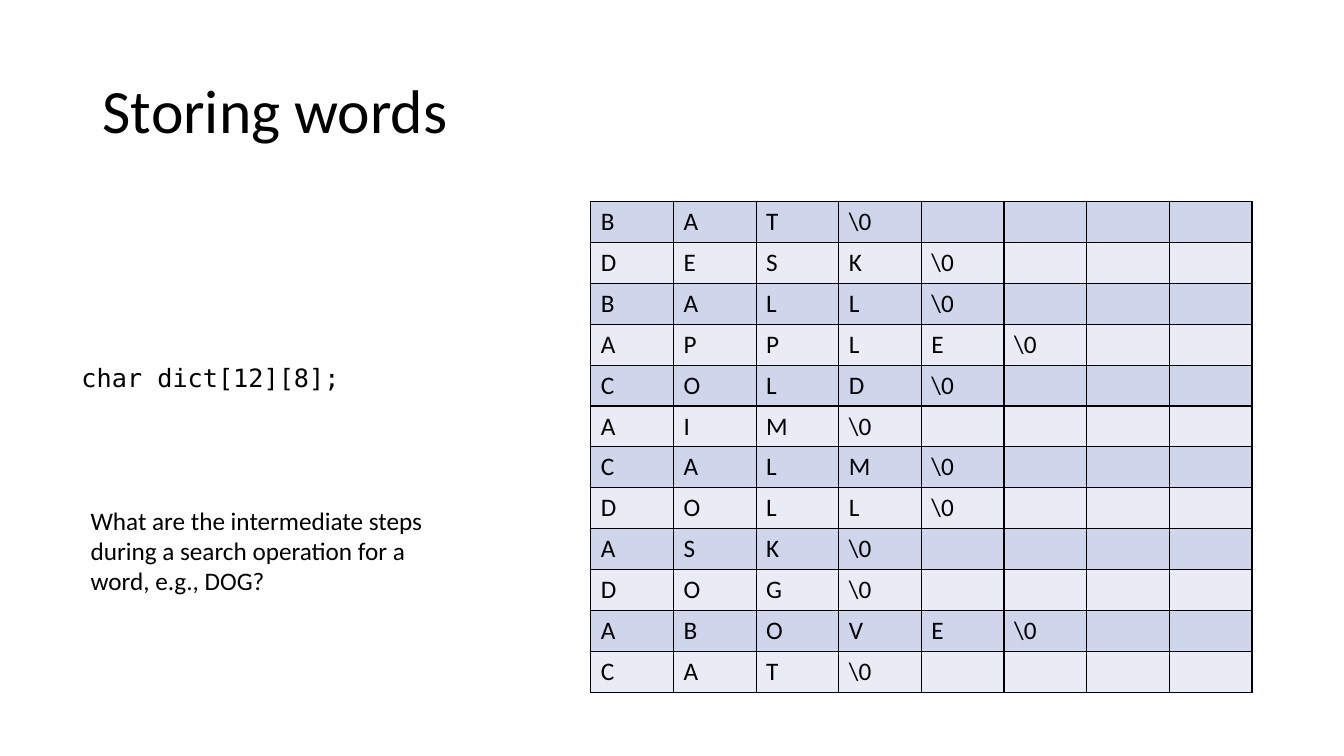
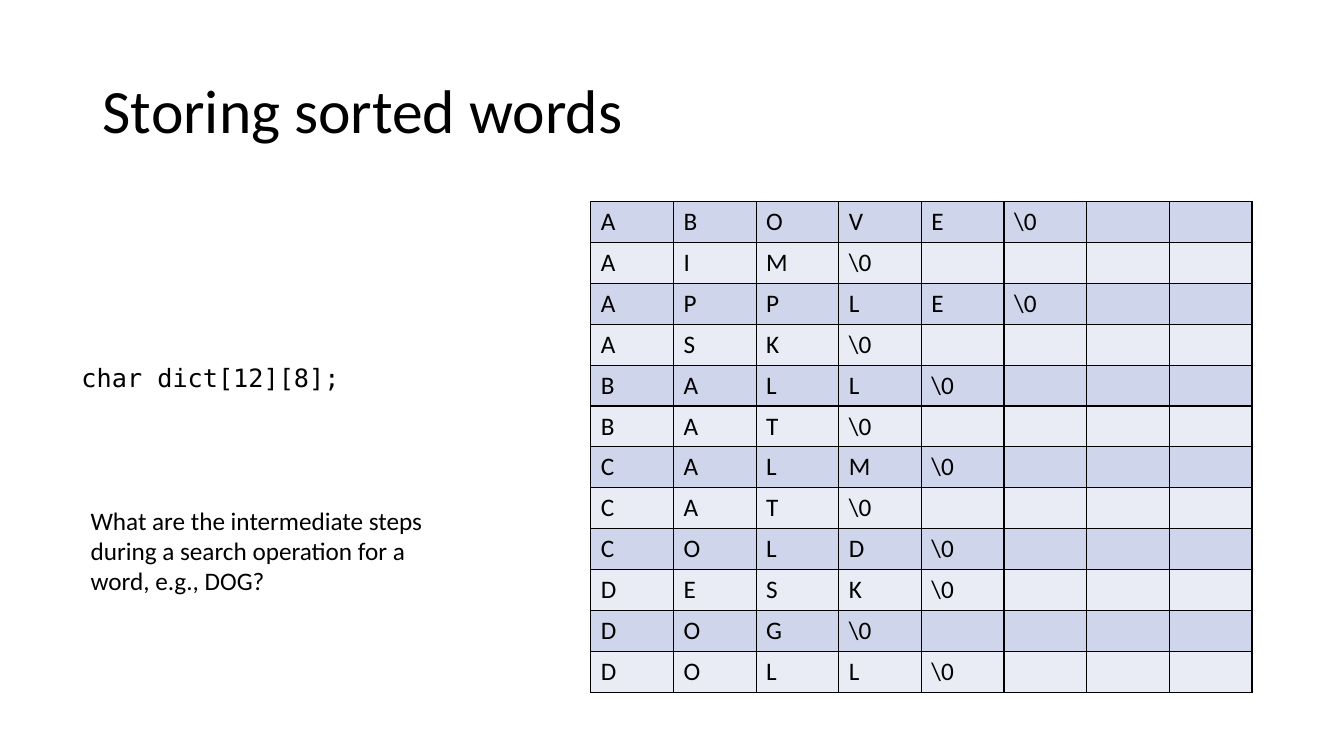
from lxml import etree
from pptx import Presentation
from pptx.dml.color import RGBColor
from pptx.enum.text import MSO_ANCHOR
from pptx.oxml.ns import qn
from pptx.util import Inches, Pt

MIDDLE = MSO_ANCHOR.MIDDLE
TOP = MSO_ANCHOR.TOP

COLORS = {"text": "000000", "border": "000000", "odd_row": "CFD5EA", "even_row": "E9EBF5"}
TITLE_FONT = {"name": "Calibri", "size": Pt(44)}
BODY_FONT = {"name": "Calibri", "size": Pt(18)}
CODE_FONT = {"name": "DejaVu Sans Mono", "size": Pt(18)}

WORDS = ["BAT", "DESK", "BALL", "APPLE", "COLD", "AIM",
         "CALM", "DOLL", "ASK", "DOG", "ABOVE", "CAT"]
WORD_LENGTH = 8
TABLE_LEFT, TABLE_TOP, TABLE_WIDTH, TABLE_HEIGHT = 5.86, 2, 6.56, 4.87

SLIDES = [("Storing words", WORDS), ("Storing sorted words", sorted(WORDS))]
CODE = "char dict[12][8];"
QUESTION = "What are the intermediate steps during a search operation for a word, e.g., DOG?"


def write(frame, text, font_format):
    paragraph = frame.paragraphs[0]
    paragraph.text = text
    for attribute, value in font_format.items():
        setattr(paragraph.font, attribute, value)
    paragraph.font.color.rgb = RGBColor.from_string(COLORS["text"])
    return paragraph


def add_border(cell):
    properties = cell._tc.get_or_add_tcPr()
    for side in ("a:lnL", "a:lnR", "a:lnT", "a:lnB"):
        line = etree.SubElement(properties, qn(side), w=str(Pt(1)))
        fill = etree.SubElement(line, qn("a:solidFill"))
        etree.SubElement(fill, qn("a:srgbClr"), val=COLORS["border"])


prs = Presentation()
prs.slide_width = Inches(13.33)
prs.slide_height = Inches(7.5)

for title, words in SLIDES:
    slide = prs.slides.add_slide(prs.slide_layouts[6])

    for text, position, font_format, anchor, spacing in (
        (title, (0.92, 0.4, 11.5, 1.45), TITLE_FONT, MIDDLE, 0.9),
        (CODE, (0.71, 3.55, 3.29, 0.4), CODE_FONT, TOP, 1.0),
        (QUESTION, (0.8, 4.96, 3.81, 1.01), BODY_FONT, TOP, 1.0),
    ):
        frame = slide.shapes.add_textbox(*map(Inches, position)).text_frame
        frame.word_wrap = True
        frame.vertical_anchor = anchor
        write(frame, text, font_format).line_spacing = spacing

    dictionary = slide.shapes.add_table(
        len(words), WORD_LENGTH, Inches(TABLE_LEFT), Inches(TABLE_TOP),
        Inches(TABLE_WIDTH), Inches(TABLE_HEIGHT)).table
    dictionary.first_row = False
    dictionary.horz_banding = False

    for row, word in enumerate(words):
        letters = [*word, r"\0"]
        letters += [""] * (WORD_LENGTH - len(letters))
        row_color = COLORS["even_row" if row % 2 else "odd_row"]
        for column, letter in enumerate(letters):
            cell = dictionary.cell(row, column)
            add_border(cell)
            cell.fill.solid()
            cell.fill.fore_color.rgb = RGBColor.from_string(row_color)
            write(cell.text_frame, letter, BODY_FONT)

prs.save("out.pptx")
